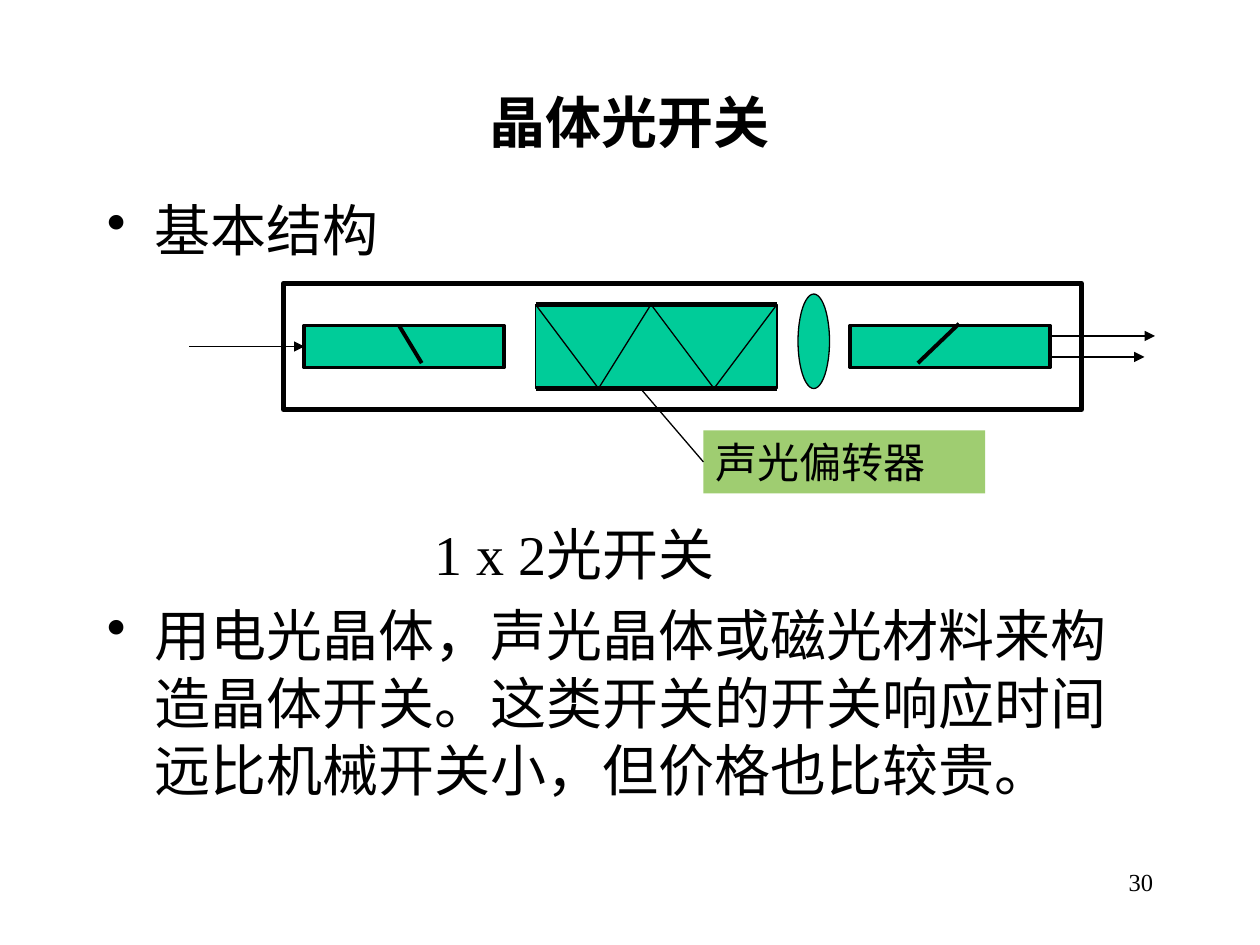
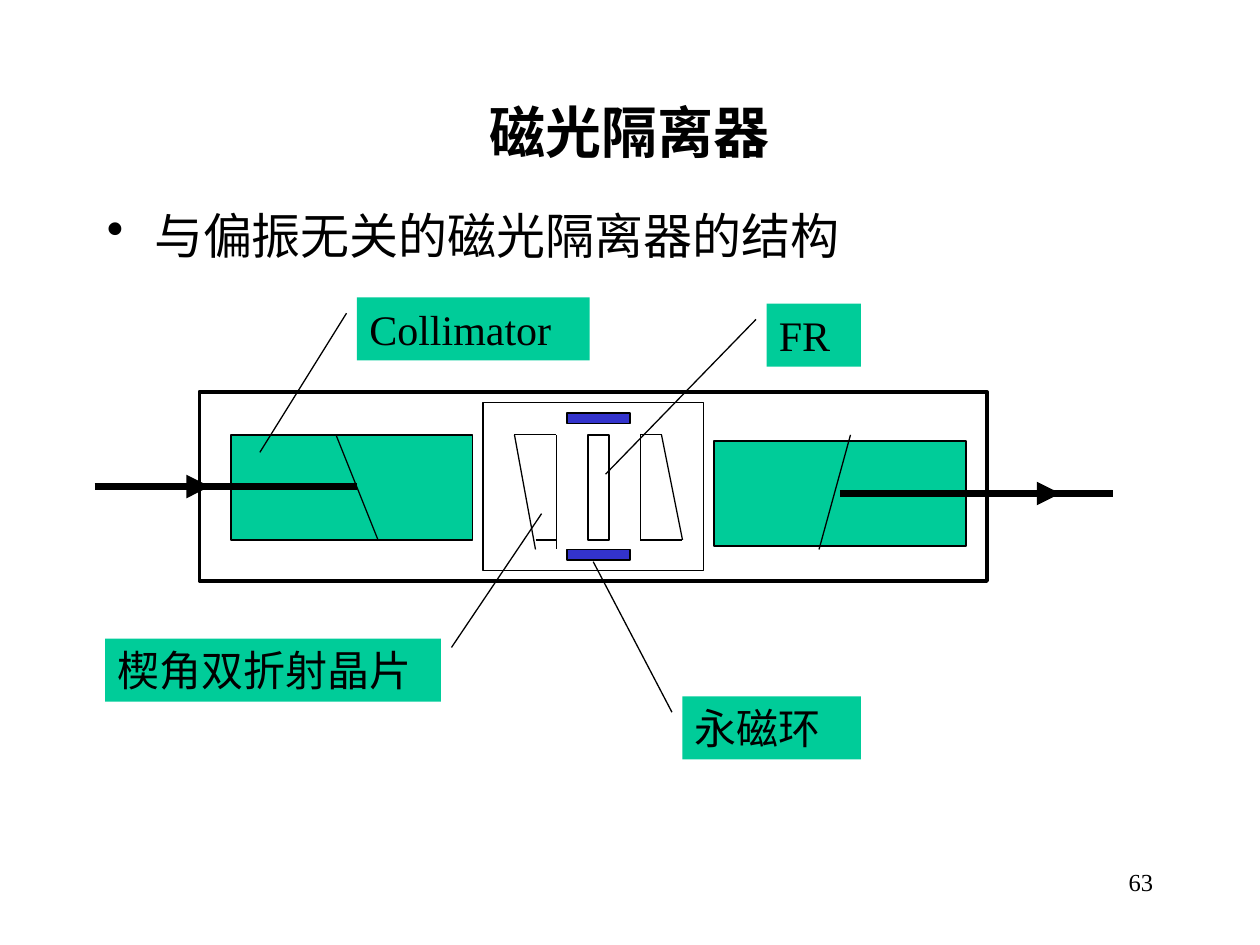
from lxml import etree
from pptx import Presentation
from pptx.dml.color import RGBColor
from pptx.enum.shapes import MSO_CONNECTOR, MSO_SHAPE
from pptx.enum.text import MSO_ANCHOR, PP_ALIGN
from pptx.oxml.ns import qn
from pptx.util import Pt

RECT, OVAL = MSO_SHAPE.RECTANGLE, MSO_SHAPE.OVAL
STRAIGHT = MSO_CONNECTOR.STRAIGHT
TOP, MIDDLE = MSO_ANCHOR.TOP, MSO_ANCHOR.MIDDLE
LEFT, CENTER, RIGHT = PP_ALIGN.LEFT, PP_ALIGN.CENTER, PP_ALIGN.RIGHT
FONT = "Times New Roman"
COLORS = {"ink": "000000", "glass": "00CC99", "callout": "9FCD71", "magnet": "3333CC"}


def add_block(page, kind, bounds, fill=None, width=None, label=None):
    block = page.shapes.add_shape(kind, *[Pt(length) for length in bounds])
    block.shadow.inherit = False
    if fill:
        block.fill.solid()
        block.fill.fore_color.rgb = RGBColor.from_string(COLORS[fill])
    else:
        block.fill.background()
    if width:
        block.line.color.rgb = RGBColor.from_string(COLORS["ink"])
        block.line.width = Pt(width)
    else:
        block.line.fill.background()
    if label:
        frame = block.text_frame
        frame.text = label
        frame.vertical_anchor = TOP
        para = frame.paragraphs[0]
        para.alignment = LEFT
        font = para.runs[0].font
        font.name, font.size = FONT, Pt(24)
        font.color.rgb = RGBColor.from_string(COLORS["ink"])


def add_line(page, ends, width=0.75, arrow=False):
    line = page.shapes.add_connector(STRAIGHT, *[Pt(length) for length in ends])
    line.line.color.rgb = RGBColor.from_string(COLORS["ink"])
    line.line.width = Pt(width)
    properties = line.element.spPr
    if arrow:
        etree.SubElement(properties.find(qn("a:ln")), qn("a:tailEnd"), type="triangle")
    etree.SubElement(properties, qn("a:effectLst"))


deck = Presentation()
deck.slide_width, deck.slide_height = Pt(720), Pt(540)

# text, size, bullet, indent, space before
switch_body = [
    ("基本结构", 32, True, 27, 0),
    ("1 x 2光开关", 32, False, 187, 147),
    ("用电光晶体，声光晶体或磁光材料来构造晶体开关。这类开关的开关响应时间远比机械开关小，但价格也比较贵。",
     32, True, 27, 8),
]
isolator_body = [("与偏振无关的磁光隔离器的结构", 28, True, 27, 0)]
contents = [
    ("晶体光开关", 42, switch_body, (108, 372), "30"),
    ("磁光隔离器", 54, isolator_body, (114, 48), "63"),
]

pages = []
for title, title_height, body, (body_top, body_height), number in contents:
    page = deck.slides.add_slide(deck.slide_layouts[6])
    pages.append(page)
    text_boxes = [
        ((516, 492, 150, 36), [(number, 14, False, 0, 0)], RIGHT, TOP, False),
        ((54, 48, 612, title_height), [(title, 32, False, 0, 0)], CENTER, MIDDLE, True),
        ((54, body_top, 612, body_height), body, LEFT, TOP, False),
    ]
    for bounds, lines, alignment, anchor, bold in text_boxes:
        box = page.shapes.add_textbox(*[Pt(length) for length in bounds])
        frame = box.text_frame
        frame.word_wrap = True
        frame.vertical_anchor = anchor
        for index, (text, size, bullet, indent, space) in enumerate(lines):
            para = frame.add_paragraph() if index else frame.paragraphs[0]
            para.text = text
            para.alignment = alignment
            settings = para._p.get_or_add_pPr()
            settings.set("marL", str(Pt(indent)))
            settings.set("indent", str(-Pt(indent) if bullet else 0))
            if bullet:
                etree.SubElement(settings, qn("a:buChar"), char="•")
            if space:
                para.space_before = Pt(space)
            font = para.runs[0].font
            font.name, font.size, font.bold = FONT, Pt(size), bold
            font.color.rgb = RGBColor.from_string(COLORS["ink"])

switch, isolator = pages

for collimator_left in (174, 486):
    add_block(switch, RECT, (collimator_left, 186, 114, 24), "glass", 2.25)
add_block(switch, RECT, (306, 174, 138, 48), "glass", 0.75)
add_block(switch, OVAL, (456, 168, 18, 54), "glass", 0.75)
add_block(switch, RECT, (402, 246, 161, 36), "callout", label="声光偏转器")

mirrors = (174, 222)
bounces = (306, 342, 372, 408, 444)
for index, (start, end) in enumerate(zip(bounces, bounces[1:])):
    add_line(switch, (start, mirrors[index % 2], end, mirrors[(index + 1) % 2]))
for mirror in mirrors:
    add_line(switch, (306, mirror, 444, mirror), 3)
for beam in [(108, 198, 174, 198), (600, 192, 660, 192), (600, 204, 654, 204)]:
    add_line(switch, beam, arrow=True)
for facet in [(228, 186, 241, 207.5), (548, 185, 524.5, 207.5)]:
    add_line(switch, facet, 2.25)
add_line(switch, (366, 222, 402, 264))
add_block(switch, RECT, (162, 162, 456, 72), width=3)

left_wedge = [(318, 248.5, 318, 314), (294, 248.5, 306, 314),
              (294, 248.5, 318, 248.5), (306, 308.5, 318, 308.5)]
right_wedge = [(366, 248.5, 366, 308.5), (378, 248.5, 390, 308.5),
               (366, 308.5, 390, 308.5), (366, 248.5, 378, 248.5)]
for edge in left_wedge + right_wedge:
    add_line(isolator, edge)
add_block(isolator, RECT, (336, 248.5, 12, 60), width=0.75)
for magnet_top in (236, 314):
    add_block(isolator, RECT, (324, magnet_top, 36, 6), "magnet", 0.75)
add_block(isolator, RECT, (276, 230, 126, 96), width=0.75)
add_block(isolator, RECT, (132, 248.5, 138, 60), "glass", 0.75)
add_block(isolator, RECT, (408, 252, 144, 60), "glass", 0.75)
for facet in [(192, 248.5, 216, 308.5), (486, 248.5, 468, 314)]:
    add_line(isolator, facet)

beams = [((114, 278, 204, 278), False), ((54, 278, 120, 278), True),
         ((480, 282, 606, 282), True), ((540, 282, 636, 282), False)]
for beam, arrow in beams:
    add_line(isolator, beam, 4.5, arrow)
add_block(isolator, RECT, (114, 224, 450, 108), width=2.25)

callouts = [
    ("FR", (438, 173.5, 54, 36), (346, 271, 432, 182.5)),
    ("永磁环", (390, 398, 102, 36), (339, 321, 384, 407)),
    ("楔角双折射晶片", (60, 365, 192, 36), (309.5, 293.5, 258, 370)),
    ("Collimator", (204, 170, 133, 36), (148.5, 258.5, 198, 179)),
]
for label, bounds, leader in callouts:
    add_block(isolator, RECT, bounds, "glass", label=label)
    add_line(isolator, leader)

deck.save("out.pptx")
